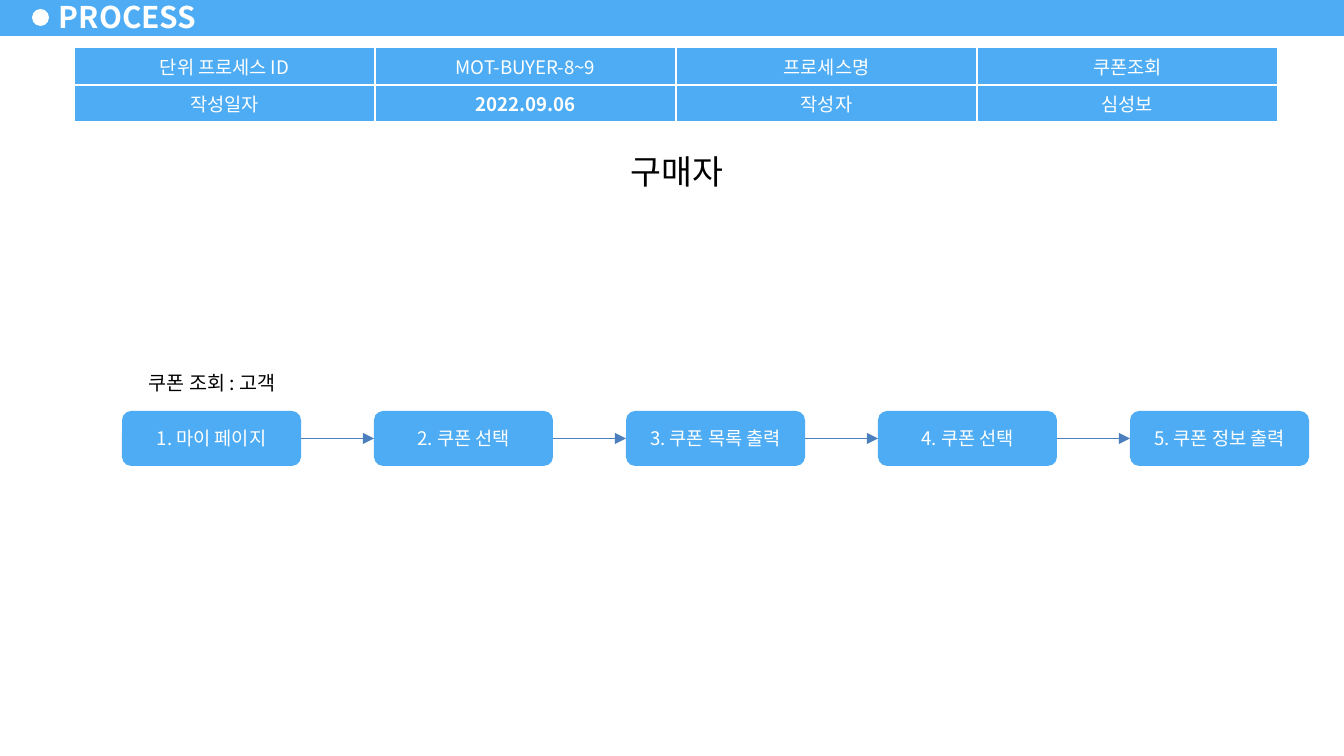
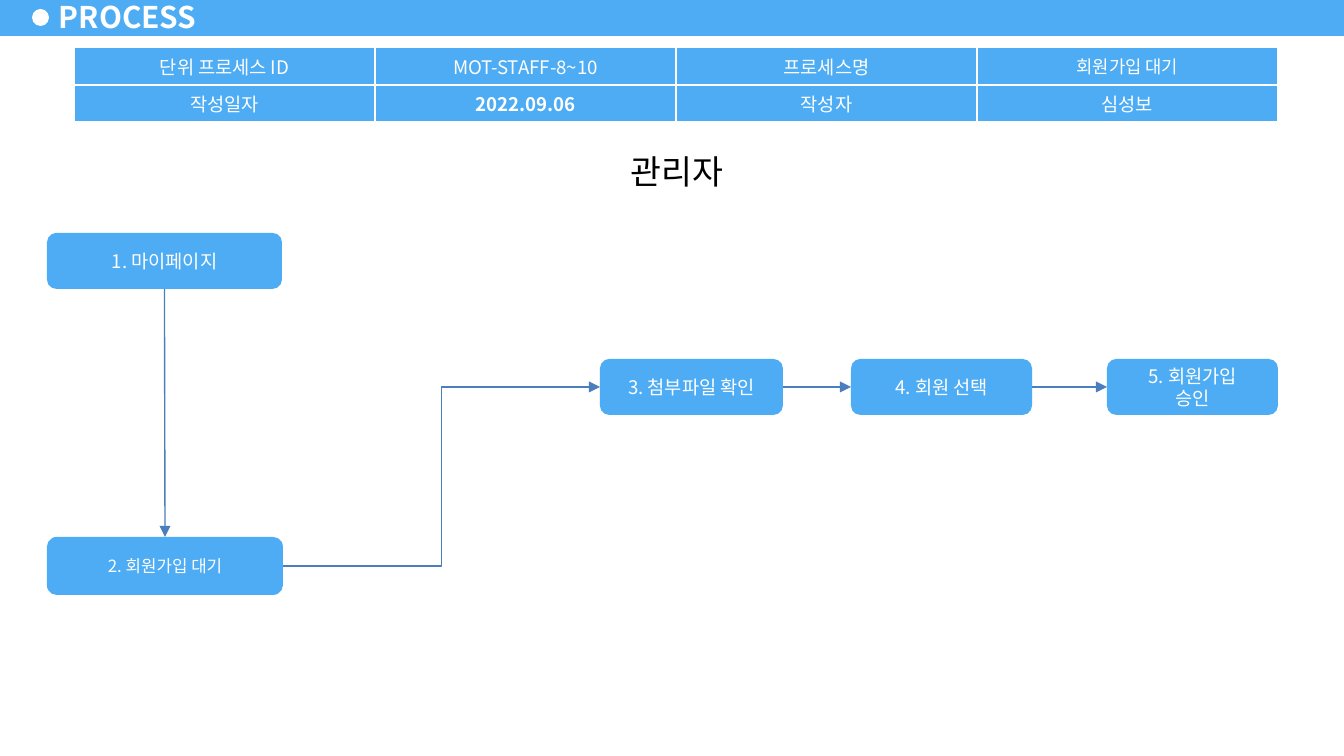
import dataclasses

import lxml.etree
import pptx
import pptx.dml.color
import pptx.enum.shapes
import pptx.enum.text
import pptx.oxml.ns
import pptx.util

SHAPE = pptx.enum.shapes.MSO_SHAPE
LINK = pptx.enum.shapes.MSO_CONNECTOR
ALIGN = pptx.enum.text.PP_ALIGN
ANCHOR = pptx.enum.text.MSO_ANCHOR
qn = pptx.oxml.ns.qn


@dataclasses.dataclass(frozen=True)
class Theme:
    """Colours, font and type sizes shared by the deck."""
    blue: str = "4DACF3"
    arrow: str = "4B7EBC"
    white: str = "FFFFFF"
    black: str = "000000"
    font: str = "Noto Sans CJK KR"
    title: float = 16
    role: float = 18
    label: float = 10.5
    body: float = 10
    compact: float = 9.5
    small: float = 9


THEME = Theme()
SITE = {"top": 0, "left": 1, "bottom": 2, "right": 3}


def px(value):
    """Convert pixels to EMU."""
    return pptx.util.Emu(round(value * 914400 / 134.4))


def rgb(value):
    """Return the colour for a hex string."""
    return pptx.dml.color.RGBColor.from_string(value)


def apply(target, values):
    """Set attributes from a dict of format values."""
    for name, value in values.items():
        setattr(target, name, value)


def place(target, box):
    """Move and size an object to a pixel box."""
    apply(target, dict(zip(("left", "top", "width", "height"), map(px, box))))


def write(frame, text, size, color, bold=False, align=ALIGN.CENTER):
    """Fill a text frame with one paragraph for each line of text."""
    for index, line in enumerate(text.split("\n")):
        para = frame.add_paragraph() if index else frame.paragraphs[0]
        para.alignment = align
        span = para.add_run()
        span.text = line
        apply(span.font, {"size": pptx.util.Pt(size), "name": THEME.font, "bold": bold})
        span.font.color.rgb = rgb(color)


def add_block(page, kind, box, fill):
    """Add a flat filled shape without outline or shadow."""
    block = page.shapes.add_shape(kind, *map(px, box))
    block.shadow.inherit = False
    block.fill.solid()
    block.fill.fore_color.rgb = rgb(fill)
    block.line.fill.background()
    return block


def add_caption(page, box, text, size):
    """Add black centred text on a white rectangle."""
    caption = add_block(page, SHAPE.RECTANGLE, box, THEME.white)
    apply(caption.text_frame, {
        "word_wrap": True,
        "vertical_anchor": ANCHOR.TOP,
        "auto_size": pptx.enum.text.MSO_AUTO_SIZE.SHAPE_TO_FIT_TEXT,
    })
    write(caption.text_frame, text, size, THEME.black)


def add_step(page, box, text, size=THEME.body):
    """Add a rounded process step."""
    step = add_block(page, SHAPE.ROUNDED_RECTANGLE, box, THEME.blue)
    step.adjustments[0] = 0.167
    apply(step.text_frame, {"word_wrap": True, "vertical_anchor": ANCHOR.MIDDLE})
    write(step.text_frame, text, size, THEME.white)
    return step


def add_arrow(page, start, start_side, end, end_side, kind=LINK.STRAIGHT):
    """Connect two steps with an arrow."""
    arrow = page.shapes.add_connector(kind, 0, 0, 0, 0)
    arrow.begin_connect(start, SITE[start_side])
    arrow.end_connect(end, SITE[end_side])
    arrow.line.color.rgb = rgb(THEME.arrow)
    arrow.line.width = pptx.util.Pt(0.75)
    properties = arrow.element.find(qn("p:spPr"))
    lxml.etree.SubElement(properties.find(qn("a:ln")), qn("a:tailEnd"), type="triangle")
    lxml.etree.SubElement(properties, qn("a:effectLst"))


def add_step_row(page, box, steps):
    """Place (text, offset, width) steps in a row joined by arrows."""
    left, top, height = box
    blocks = [add_step(page, (left + offset, top, width, height), text)
              for text, offset, width in steps]
    for start, end in zip(blocks, blocks[1:]):
        add_arrow(page, start, "right", end, "left")
    return blocks


def add_info_table(page, box, process_id, process_name, name_size):
    """Add the process information table."""
    left, top, column_width, heights = box
    rows = (("단위 프로세스 ID", process_id, "프로세스명", process_name),
            ("작성일자", "2022.09.06", "작성자", "심성보"))
    frame = page.shapes.add_table(
        2, 4, *map(px, (left, top, 4 * column_width, sum(heights))))
    table = frame.table
    apply(table, {"first_row": False, "horz_banding": False})
    for column in table.columns:
        column.width = px(column_width)
    for row_index, texts in enumerate(rows):
        table.rows[row_index].height = px(heights[row_index])
        for column_index, text in enumerate(texts):
            cell = table.cell(row_index, column_index)
            apply(cell, {"vertical_anchor": ANCHOR.MIDDLE,
                         "margin_top": px(3), "margin_bottom": px(3)})
            cell.fill.solid()
            cell.fill.fore_color.rgb = rgb(THEME.blue)
            size = name_size if (row_index, column_index) == (0, 3) else THEME.body
            write(cell.text_frame, text, size, THEME.white,
                  bold=(row_index, column_index) == (1, 1))
    for properties in frame.element.iter(qn("a:tcPr")):
        for index, side in enumerate(("lnL", "lnR", "lnT", "lnB")):
            border = lxml.etree.Element(qn("a:" + side), w=str(pptx.util.Pt(1)))
            fill = lxml.etree.SubElement(border, qn("a:solidFill"))
            lxml.etree.SubElement(fill, qn("a:srgbClr"), val=THEME.white)
            properties.insert(index, border)


def prepare_layout(deck):
    """Keep one title-only layout and clear its unused placeholders."""
    layout = deck.slide_layouts[5]
    for other in list(deck.slide_layouts):
        if other != layout:
            deck.slide_layouts.remove(other)
    for parent in (layout, deck.slide_master):
        for holder in list(parent.placeholders):
            if holder.placeholder_format.type != pptx.enum.shapes.PP_PLACEHOLDER.TITLE:
                parent.shapes.element.remove(holder.element)
            else:
                place(holder, (47, -5, 164, 43))
    return layout


def add_header_band(page, layout):
    """Build the header band and hand it to the shared layout."""
    band = add_block(page, SHAPE.RECTANGLE, (0, -3, 1344, 39), THEME.blue)
    dot = add_block(page, SHAPE.OVAL, (32, 9, 17, 17), THEME.white)
    for number, part in enumerate((band, dot), start=20):
        part.element.find(".//" + qn("p:cNvPr")).set("id", str(number))
        layout.shapes.element.append(part.element)


def add_process_page(deck, layout, role, process_id, process_name, name_size=THEME.body):
    """Add a page with title, information table and role heading."""
    page = deck.slides.add_slide(layout)
    title = page.shapes.title
    place(title, (47, -5, 164, 43))
    apply(title.text_frame, {
        "word_wrap": True,
        "vertical_anchor": ANCHOR.MIDDLE,
        "auto_size": pptx.enum.text.MSO_AUTO_SIZE.NONE,
        "margin_left": px(12), "margin_right": px(12),
        "margin_top": px(5), "margin_bottom": px(5),
    })
    write(title.text_frame, "PROCESS", THEME.title, THEME.white, True, ALIGN.LEFT)
    add_caption(page, (437, 144, 480, 54), role, THEME.role)
    add_info_table(page, (74, 47, 301, (38, 37)), process_id, process_name, name_size)
    return page


def add_coupon_flow(page, box):
    """Draw the coupon lookup flow with its caption."""
    left, top = box
    texts = ("1. 마이 페이지", "2. 쿠폰 선택", "3. 쿠폰 목록 출력",
             "4. 쿠폰 선택", "5. 쿠폰 정보 출력")
    steps = [(text, index * 252, 179) for index, text in enumerate(texts)]
    add_step_row(page, (left, top + 47, 55), steps)
    add_caption(page, (left, top, 180, 38), "쿠폰 조회 : 고객", THEME.label)


def add_signup_flow(page, box):
    """Draw the sign-up approval flow."""
    left, top = box
    my_page = add_step(page, (left, top, 235, 56), "1. 마이페이지")
    waiting = add_step(page, (left, top + 304, 236, 58), "2. 회원가입 대기", THEME.small)
    steps = (("3. 첨부파일 확인", 0, 183), ("4. 회원 선택", 251, 181),
             ("5. 회원가입\n승인", 507, 171))
    blocks = add_step_row(page, (left + 553, top + 126, 56), steps)
    add_arrow(page, my_page, "bottom", waiting, "top")
    add_arrow(page, waiting, "right", blocks[0], "left", LINK.ELBOW)


def set_asian_font(page):
    """Use the theme font for Korean text too."""
    for properties in page.element.iter(qn("a:rPr")):
        lxml.etree.SubElement(properties, qn("a:ea"), typeface=THEME.font)


def main():
    """Build and save the deck."""
    deck = pptx.Presentation()
    apply(deck, {"slide_width": px(1344), "slide_height": px(756)})
    layout = prepare_layout(deck)
    buyer = add_process_page(deck, layout, "구매자", "MOT-BUYER-8~9", "쿠폰조회")
    add_header_band(buyer, layout)
    add_coupon_flow(buyer, (122, 364))
    staff = add_process_page(deck, layout, "관리자", "MOT-STAFF-8~10",
                             "회원가입 대기", THEME.compact)
    add_signup_flow(staff, (47, 233))
    for page in deck.slides:
        set_asian_font(page)
    deck.save("out.pptx")


main()
